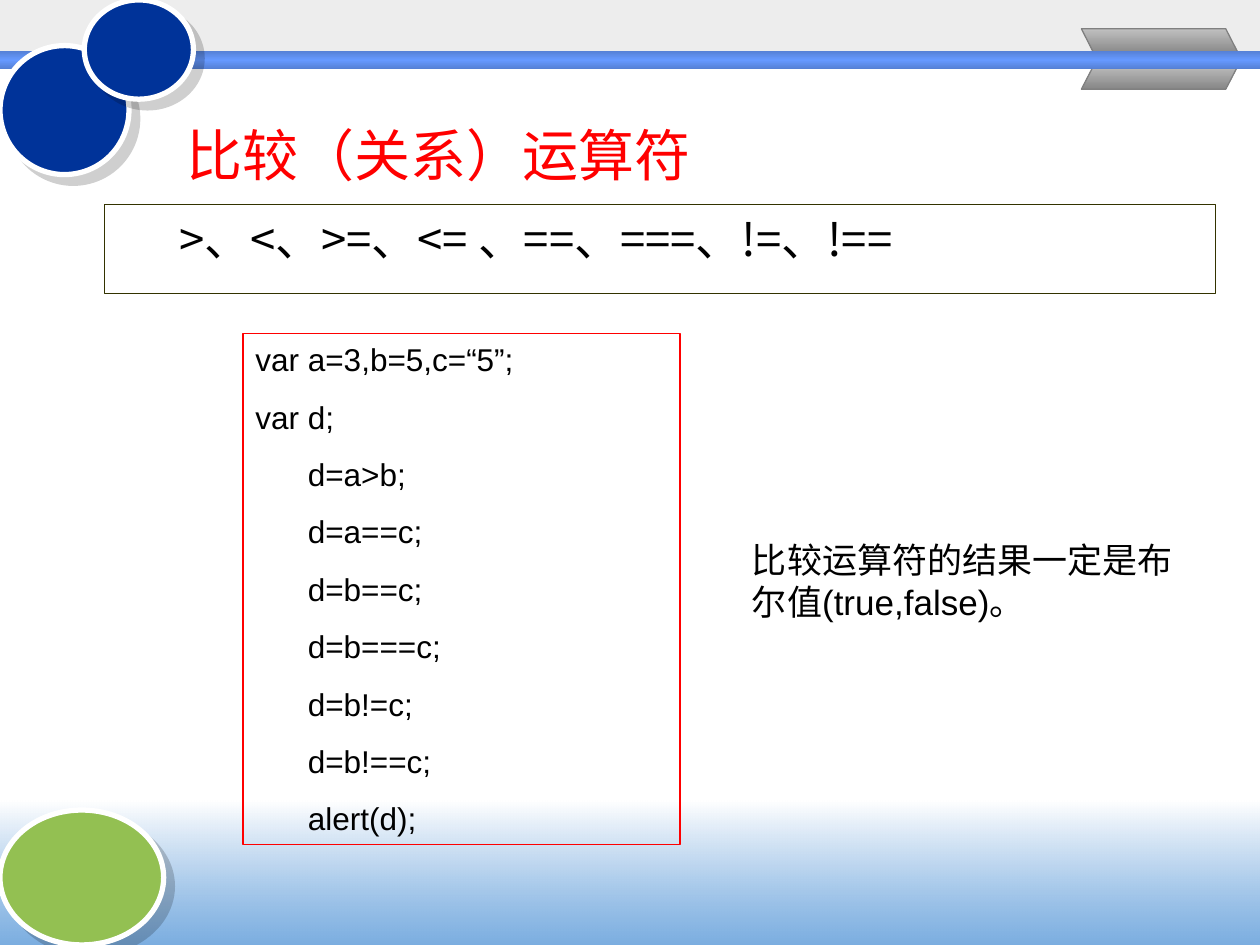
from dataclasses import dataclass
from typing import Optional

from lxml import etree
from pptx import Presentation
from pptx import util as u
from pptx.dml.color import RGBColor
from pptx.enum import shapes, text
from pptx.oxml.ns import qn

COLORS = {
    "white": "FFFFFF", "black": "000000", "red": "FF0000", "olive": "333300",
    "haze": "EAEAEA", "sky": "5E9CDA", "silver": "C0C0C0", "steel": "868686",
    "gray": "808080", "navy": "000066", "band": "5580D5", "glow": "6699FF",
    "blue": "003399", "green": "93C052",
}
CJK = "Noto Sans CJK SC"
WIDTH, HEIGHT = 25.4, 19.05


@dataclass
class Stop:
    position: int
    color: str
    opacity: int = 100


@dataclass
class Band:
    top: float
    height: float
    stops: list[Stop]


@dataclass
class Disc:
    left: float
    top: float
    width: float
    height: float
    color: str
    rotation: float = 0


@dataclass
class TextStyle:
    size: float
    font: str
    color: str = "black"
    space_before: float = 0
    anchor: text.MSO_ANCHOR = text.MSO_ANCHOR.TOP


def rgb(name: str) -> RGBColor:
    return RGBColor.from_string(COLORS[name])


def add_color(parent, name: str, opacity: int) -> None:
    color = etree.SubElement(parent, qn("a:srgbClr"), val=COLORS[name])
    if opacity < 100:
        etree.SubElement(color, qn("a:alpha"), val=str(opacity * 1000))


def set_fill(shape, stops: list[Stop]) -> None:
    """Vertical gradient through the stops; a single stop gives an even tone."""
    shape.fill.gradient()
    shape.fill.gradient_angle = 270
    stop_list = shape.element.spPr.find(qn("a:gradFill")).find(qn("a:gsLst"))
    for old in list(stop_list):
        stop_list.remove(old)
    if len(stops) == 1:
        stops = [Stop(end, stops[0].color, stops[0].opacity) for end in (0, 100)]
    for stop in stops:
        entry = etree.SubElement(stop_list, qn("a:gs"), pos=str(stop.position * 1000))
        add_color(entry, stop.color, stop.opacity)


def set_line(shape, color: Optional[str], width: float = 0.75) -> None:
    if color is None:
        shape.line.fill.background()
    else:
        shape.line.color.rgb = rgb(color)
        shape.line.width = u.Pt(width)


def place(shape, left: float, top: float, width: float, height: float) -> None:
    for name, value in dict(left=left, top=top, width=width, height=height).items():
        setattr(shape, name, u.Cm(value))


def draw_band(page, band: Band) -> None:
    shape = page.shapes.add_shape(shapes.MSO_SHAPE.RECTANGLE, 0, u.Cm(band.top),
                                  u.Cm(WIDTH), u.Cm(band.height))
    shape.shadow.inherit = False
    set_fill(shape, band.stops)
    set_line(shape, None)


def draw_flag(page, outer: float, inner: float) -> None:
    """Half of the ribbon, slanting from the outer edge to the bar."""
    corners = [(24.71, outer), (24.97, inner), (22.06, inner), (21.8, outer)]
    points = [(u.Cm(x), u.Cm(y)) for x, y in corners]
    builder = page.shapes.build_freeform(*points[0], scale=1.0)
    builder.add_line_segments(points[1:], close=True)
    shape = builder.convert_to_shape()
    shape.shadow.inherit = False
    set_fill(shape, [Stop(0, "silver"), Stop(100, "steel")])
    set_line(shape, "gray")


def draw_disc(page, disc: Disc) -> None:
    shape = page.shapes.add_shape(
        shapes.MSO_SHAPE.OVAL,
        *map(u.Cm, (disc.left, disc.top, disc.width, disc.height)))
    shape.rotation = disc.rotation
    shape.fill.solid()
    shape.fill.fore_color.rgb = rgb(disc.color)
    set_line(shape, "white", 3)
    shape.shadow.inherit = False
    effects = shape.element.spPr.find(qn("a:effectLst"))
    shadow = etree.SubElement(effects, qn("a:outerShdw"), dist=str(u.Pt(7.1)),
                              dir=str(45 * 60000), algn="ctr", rotWithShape="0")
    add_color(shadow, "black", 19)


def write(shape, lines: list[str], style: TextStyle) -> None:
    frame = shape.text_frame
    frame_format = {
        "word_wrap": True, "auto_size": text.MSO_AUTO_SIZE.NONE,
        "vertical_anchor": style.anchor,
        "margin_left": u.Cm(0.25), "margin_right": u.Cm(0.25),
        "margin_top": u.Cm(0.13), "margin_bottom": u.Cm(0.13),
    }
    for name, value in frame_format.items():
        setattr(frame, name, value)
    for index, line in enumerate(lines):
        para = frame.paragraphs[0] if index == 0 else frame.add_paragraph()
        para.alignment = text.PP_ALIGN.LEFT
        para.space_before = u.Pt(style.space_before if index else 0)
        span = para.add_run()
        span.text = line
        for name, value in {"size": u.Pt(style.size), "name": style.font}.items():
            setattr(span.font, name, value)
        span.font.color.rgb = rgb(style.color)
        latin = span.font._element.find(qn("a:latin"))
        latin.addnext(latin.makeelement(qn("a:ea"), {"typeface": CJK}))


def main() -> None:
    deck = Presentation()
    deck.slide_width, deck.slide_height = u.Cm(WIDTH), u.Cm(HEIGHT)
    page = deck.slides.add_slide(deck.slide_layouts[1])

    # Background bands and ribbon
    draw_band(page, Band(0, 1.32, [Stop(0, "haze", 81)]))
    draw_band(page, Band(16.13, 2.92, [Stop(0, "white"), Stop(100, "sky", 81)]))
    draw_flag(page, outer=0.58, inner=1.09)
    draw_flag(page, outer=1.8, inner=1.3)

    # Discs and the bar across the top
    draw_disc(page, Disc(0, 16.33, 3.3, 2.72, "green"))
    draw_band(page, Band(1.02, 0.36, [Stop(0, "navy")]))
    draw_band(page, Band(1.03, 0.36, [Stop(0, "band"), Stop(50, "glow"),
                                      Stop(100, "band")]))
    draw_disc(page, Disc(0, 0.92, 2.6, 2.6, "blue", rotation=26.8))
    draw_disc(page, Disc(1.7, 0, 2.2, 2, "blue"))

    # Title
    title = page.shapes.title
    place(title, 3.5, 2.13, 19.4, 1.96)
    write(title, ["比较（关系）运算符"],
          TextStyle(32, CJK, "red", anchor=text.MSO_ANCHOR.MIDDLE))

    # Operators
    operators = page.placeholders[1]
    place(operators, 2.1, 4.12, 22.4, 1.8)
    set_line(operators, "olive")
    write(operators, [">、<、>=、<= 、==、===、!=、!=="], TextStyle(26, CJK))
    para = operators.text_frame.paragraphs[0]
    para.level = 1
    properties = para._p.get_or_add_pPr()
    for name, value in {"marL": 2.06, "indent": -0.79}.items():
        properties.set(name, str(u.Cm(value)))
    properties.append(properties.makeelement(qn("a:buNone"), {}))

    # Code sample
    code = page.shapes.add_textbox(0, 0, 0, 0)
    place(code, 4.9, 6.73, 8.81, 10.29)
    set_line(code, "red")
    write(code, [
        "var a=3,b=5,c=“5”;",
        "var d;",
        "      d=a>b;",
        "      d=a==c;",
        "      d=b==c;",
        "      d=b===c;",
        "      d=b!=c;",
        "      d=b!==c;",
        "      alert(d);",
    ], TextStyle(18, "Arial", space_before=11.2))

    # Remark
    remark = page.shapes.add_textbox(0, 0, 0, 0)
    place(remark, 14.91, 10.72, 9.12, 1.96)
    write(remark, ["比较运算符的结果一定是布尔值(true,false)。"], TextStyle(20, "Arial"))

    deck.save("out.pptx")


if __name__ == "__main__":
    main()
